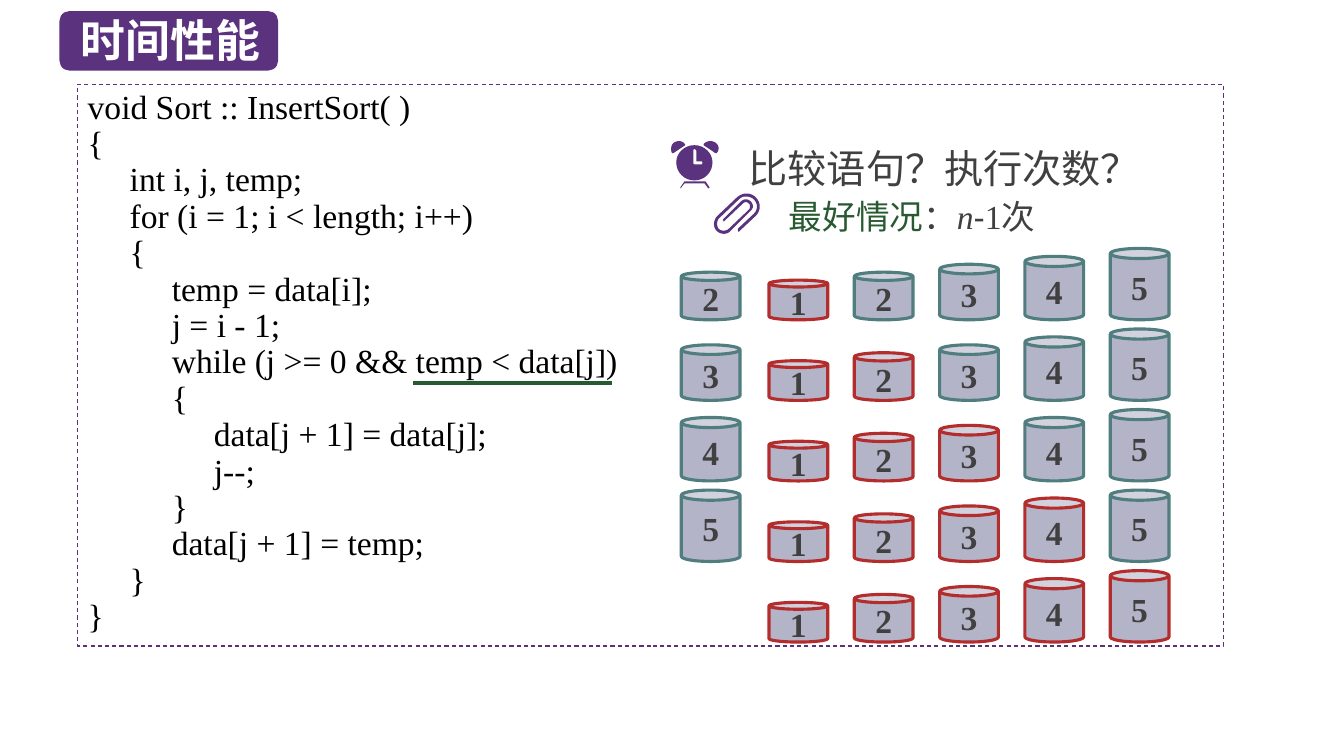
"""Builds the slide on the running time of insertion sort."""
from dataclasses import dataclass

from lxml import etree
from pptx import Presentation
from pptx.dml.color import RGBColor
from pptx.enum.dml import MSO_LINE
from pptx.enum.shapes import MSO_CONNECTOR, MSO_SHAPE
from pptx.enum.text import MSO_ANCHOR, MSO_AUTO_SIZE, PP_ALIGN
from pptx.oxml.ns import qn
from pptx.util import Cm, Pt

DASH = MSO_LINE.DASH
STRAIGHT = MSO_CONNECTOR.STRAIGHT
CAN, RECT, ROUNDED = MSO_SHAPE.CAN, MSO_SHAPE.RECTANGLE, MSO_SHAPE.ROUNDED_RECTANGLE
TOP, MIDDLE = MSO_ANCHOR.TOP, MSO_ANCHOR.MIDDLE
FIXED, GROW = MSO_AUTO_SIZE.NONE, MSO_AUTO_SIZE.SHAPE_TO_FIT_TEXT
LEFT, CENTER = PP_ALIGN.LEFT, PP_ALIGN.CENTER

PURPLE, GREEN, TEAL, RED = "5A327D", "285A32", "507D7D", "B42D2D"
GRAY, BLACK, WHITE, CAN_FILL = "404040", "000000", "FFFFFF", "B4B4C8"
SANS, SERIF = "Noto Sans CJK SC", "Times New Roman"

CODE_INDENT = Cm(1.06)
ICON_UNIT = Cm(0.0254)
CURVE_STEPS = 8
CAN_WIDTH, CAN_STEP, FIRST_CAN_X, KEY_X = 1.48, 2.15, 19.38, 17.17
FIRST_BASE, ROW_STEP = 8.06, 2.03

CODE = (
    (0, "void Sort :: InsertSort( )"),
    (0, "{"),
    (1, "int i, j, temp;"),
    (1, "for (i = 1; i < length; i++)"),
    (1, "{"),
    (2, "temp = data[i];"),
    (2, "j = i - 1;"),
    (2, "while (j >= 0 && temp < data[j])"),
    (2, "{"),
    (3, "data[j + 1] = data[j];"),
    (3, "j--;"),
    (2, "}"),
    (2, "data[j + 1] = temp;"),
    (1, "}"),
    (0, "}"),
)


@dataclass
class Can:
    """One value of the array, as tall as it is large."""
    value: int
    x: float
    base: float
    edge: str


@dataclass
class Icon:
    """Closed contours: pairs are corners, six numbers are a Bézier curve."""
    contours: tuple


CLOCK = (
    Icon((((704, 186), (700, 180), (679, 180), (675, 186), (675, 187), (676, 186),
           (679, 182), (699, 182), (702, 186), (703, 187)),)),
    Icon((((674, 140), (669, 140, 666, 143, 666, 147), (666, 149, 666, 151, 667, 152),
           (668, 152), (680, 144), (679, 141, 676, 140, 674, 140)),)),
    Icon((((705, 140), (702, 140, 700, 141, 698, 143), (698, 144), (710, 152), (711, 152),
           (712, 151, 713, 149, 713, 147), (713, 143, 709, 140, 705, 140)),)),
    Icon((((689, 144), (679, 144, 671, 152, 671, 161), (671, 171, 679, 179, 689, 179),
           (699, 179, 707, 171, 707, 161), (707, 152, 699, 144, 689, 144)),
          ((696, 163), (689, 163), (688, 163, 688, 162, 688, 161), (688, 150),
           (688, 149, 688, 148, 689, 148), (690, 148, 691, 149, 691, 150), (691, 160),
           (696, 160), (697, 160, 697, 161, 697, 161), (697, 162, 697, 163, 696, 163)))),
)
CLIP = Icon((((750, 196), (747, 193, 744, 192, 740, 192), (737, 192, 733, 194, 731, 196),
              (711, 215), (708, 219, 707, 225, 711, 229), (713, 231, 716, 232, 718, 232),
              (721, 232, 723, 231, 725, 229), (745, 209), (746, 208, 747, 206, 747, 205),
              (747, 203, 746, 201, 745, 200), (742, 197, 738, 197, 735, 200), (718, 217),
              (717, 218, 717, 219, 718, 219), (718, 220), (719, 219), (737, 202),
              (739, 200, 741, 200, 743, 202), (744, 203, 744, 203, 744, 205),
              (744, 206, 744, 207, 743, 208), (723, 227), (721, 229, 716, 230, 713, 227),
              (711, 224, 711, 220, 713, 217), (733, 198), (735, 196, 737, 195, 740, 195),
              (743, 195, 746, 196, 748, 198), (752, 202, 752, 208, 748, 212), (732, 227),
              (732, 228, 732, 229, 732, 229), (733, 230), (734, 229), (750, 214),
              (755, 209, 755, 201, 750, 196)),))


def rgb(color: str) -> RGBColor:
    """Turn a hex string into a colour."""
    return RGBColor.from_string(color)


def set_font(font, size: float, name: str, color: str, bold: bool = False) -> None:
    """Set a font, with the sans face for Chinese characters."""
    font.size, font.name, font.bold = Pt(size), name, bold
    font.color.rgb = rgb(color)
    etree.SubElement(font._rPr, qn("a:ea")).set("typeface", SANS)


def add_block(s, kind, box: tuple, fill: str = "", edge: str = "", width: float = 2.25):
    """Add a preset shape; box is left, top, width and height in centimetres."""
    sp = s.shapes.add_shape(kind, *map(Cm, box))
    sp.shadow.inherit = False
    if fill:
        sp.fill.solid()
        sp.fill.fore_color.rgb = rgb(fill)
    else:
        sp.fill.background()
    if edge:
        sp.line.color.rgb = rgb(edge)
        sp.line.width = Pt(width)
    else:
        sp.line.fill.background()
    return sp


def add_title(s) -> None:
    """Place the title on its purple badge."""
    badge = add_block(s, ROUNDED, (1.5, 0.28, 5.51, 1.5), PURPLE)
    title = s.shapes.title
    title._element.addprevious(badge._element)
    title.left, title.top, title.width, title.height = map(Cm, (1.78, 0.18, 5.33, 1.63))
    tf = title.text_frame
    tf.text = "时间性能"
    tf.auto_size, tf.vertical_anchor = FIXED, MIDDLE
    p = tf.paragraphs[0]
    p.alignment = LEFT
    set_font(p.font, 32, SANS, WHITE, True)


def add_text(s, box: tuple, spacing: float):
    """Add a text box and return its paragraph."""
    tf = s.shapes.add_textbox(*map(Cm, box)).text_frame
    tf.word_wrap, tf.auto_size = True, GROW
    p = tf.paragraphs[0]
    p.line_spacing = spacing
    return p


def add_question(s) -> None:
    """Write the question and the best case."""
    p = add_text(s, (18.62, 3.15, 10.8, 1.8), 1.3)
    p.text = "比较语句？执行次数？"
    set_font(p.font, 28, SANS, GRAY)
    p = add_text(s, (19.63, 4.72, 7.82, 1.4), 1.1)
    set_font(p.font, 24, SERIF, GRAY)
    for text in ("最好情况", "：", "n", "-", "1次"):
        r = p.add_run()
        r.text = text
        if text == "最好情况":
            r.font.color.rgb = rgb(GREEN)
        elif text == "n":
            r.font.italic = True
        elif text == "-":
            r.font.name = "Arial"


def flatten(contour: tuple) -> list:
    """Turn corners and curves into points in EMU."""
    points = [contour[0]]
    for step in contour[1:]:
        if len(step) == 2:
            points.append(step)
            continue
        (x0, y0), (x1, y1, x2, y2, x3, y3) = points[-1], step
        for i in range(1, CURVE_STEPS + 1):
            t = i / CURVE_STEPS
            a, b, c, d = (1 - t) ** 3, 3 * t * (1 - t) ** 2, 3 * t * t * (1 - t), t ** 3
            points.append((a * x0 + b * x1 + c * x2 + d * x3, a * y0 + b * y1 + c * y2 + d * y3))
    return [(x * ICON_UNIT, y * ICON_UNIT) for x, y in points]


def add_icon(s, icon: Icon) -> None:
    """Draw an icon part as one filled outline."""
    outer, *holes = map(flatten, icon.contours)
    builder = s.shapes.build_freeform(*outer[0])
    builder.add_line_segments(outer[1:])
    for hole in holes:
        builder.move_to(*hole[0])
        builder.add_line_segments(hole[1:])
    sp = builder.convert_to_shape()
    sp.shadow.inherit = False
    sp.fill.solid()
    sp.fill.fore_color.rgb = rgb(PURPLE)
    sp.line.fill.background()


def add_can(s, can: Can) -> None:
    """Draw one array value."""
    height = 0.8 + 0.2 * can.value
    sp = add_block(s, CAN, (can.x, can.base - height, CAN_WIDTH, height), CAN_FILL, can.edge)
    sp.adjustments[0] = 0.173
    tf = sp.text_frame
    tf.text = str(can.value)
    tf.word_wrap, tf.vertical_anchor = False, MIDDLE
    p = tf.paragraphs[0]
    p.alignment = CENTER
    set_font(p.font, 24, SERIF, GRAY, True)


def add_passes(s) -> None:
    """Draw the array after each pass, with the key to insert on its left."""
    for row in range(5):
        base = FIRST_BASE + row * ROW_STEP
        for i in range(5):
            edge = RED if i <= row else TEAL
            add_can(s, Can(i + 1, FIRST_CAN_X + i * CAN_STEP, base, edge))
        if row < 4:
            add_can(s, Can(row + 2, KEY_X, base, TEAL))


def add_code(s) -> None:
    """Write the code in its dashed frame and underline the comparison."""
    line = s.shapes.add_connector(STRAIGHT, Cm(10.41), Cm(9.65), Cm(15.42), Cm(9.65))
    line.line.color.rgb, line.line.width = rgb(GREEN), Pt(2.25)
    etree.SubElement(line._element.spPr, qn("a:effectLst"))
    frame = add_block(s, RECT, (1.96, 2.13, 28.88, 14.15), "", "5C307D", 0.75)
    frame.line.dash_style = DASH
    tf = frame.text_frame
    tf.word_wrap, tf.vertical_anchor = True, TOP
    tf.text = "\n".join(text for _, text in CODE)
    for p, (depth, _) in zip(tf.paragraphs, CODE):
        p.alignment, p.line_spacing = LEFT, Pt(26)
        p._p.get_or_add_pPr().set("marL", str(depth * CODE_INDENT))
        set_font(p.font, 24, SERIF, BLACK)


def main() -> None:
    """Build and save the slide."""
    prs = Presentation()
    prs.slide_width, prs.slide_height = Cm(33.87), Cm(19.05)
    s = prs.slides.add_slide(prs.slide_layouts[5])
    add_title(s)
    add_question(s)
    for icon in (*CLOCK, CLIP):
        add_icon(s, icon)
    add_passes(s)
    add_code(s)
    prs.save("out.pptx")


if __name__ == "__main__":
    main()
